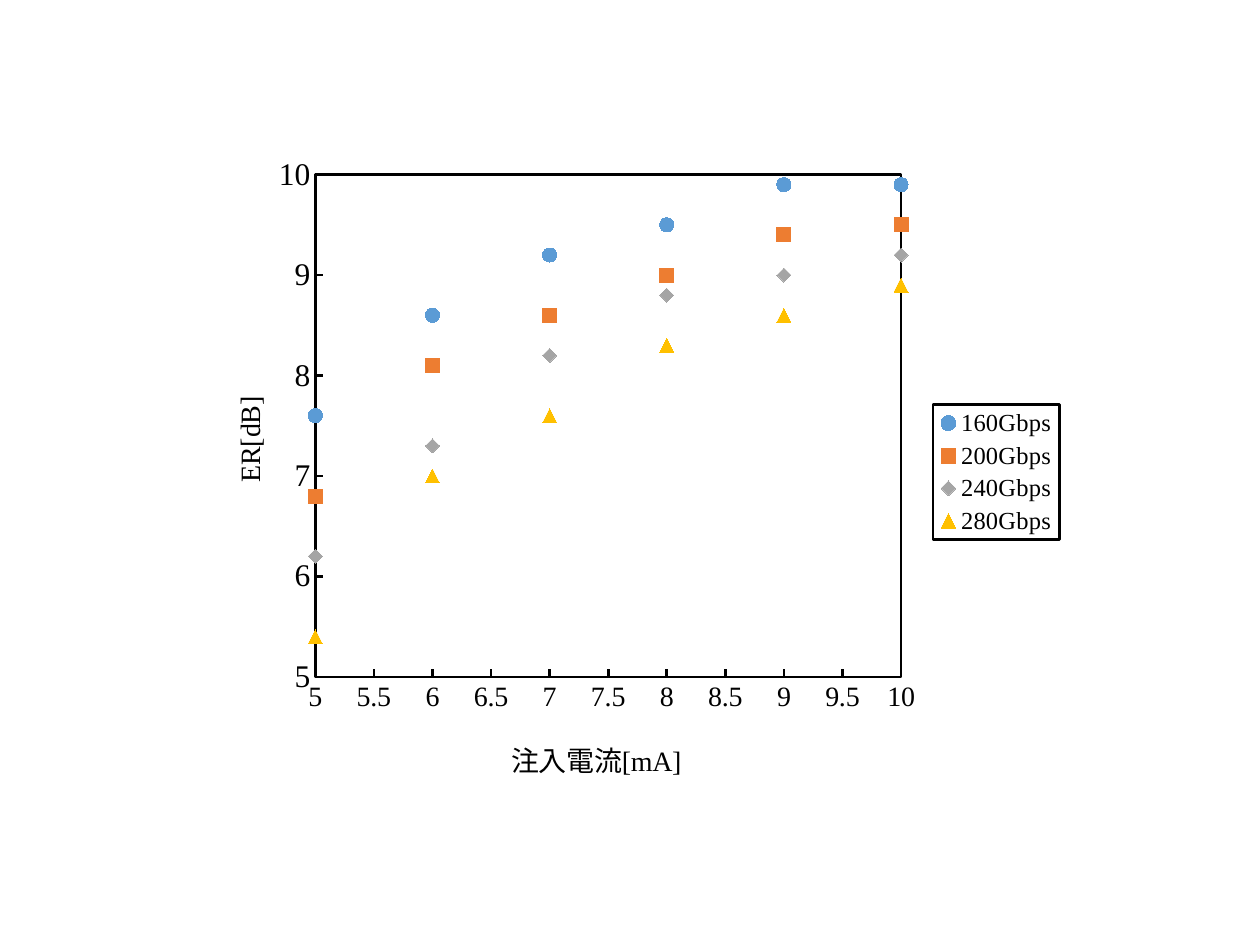
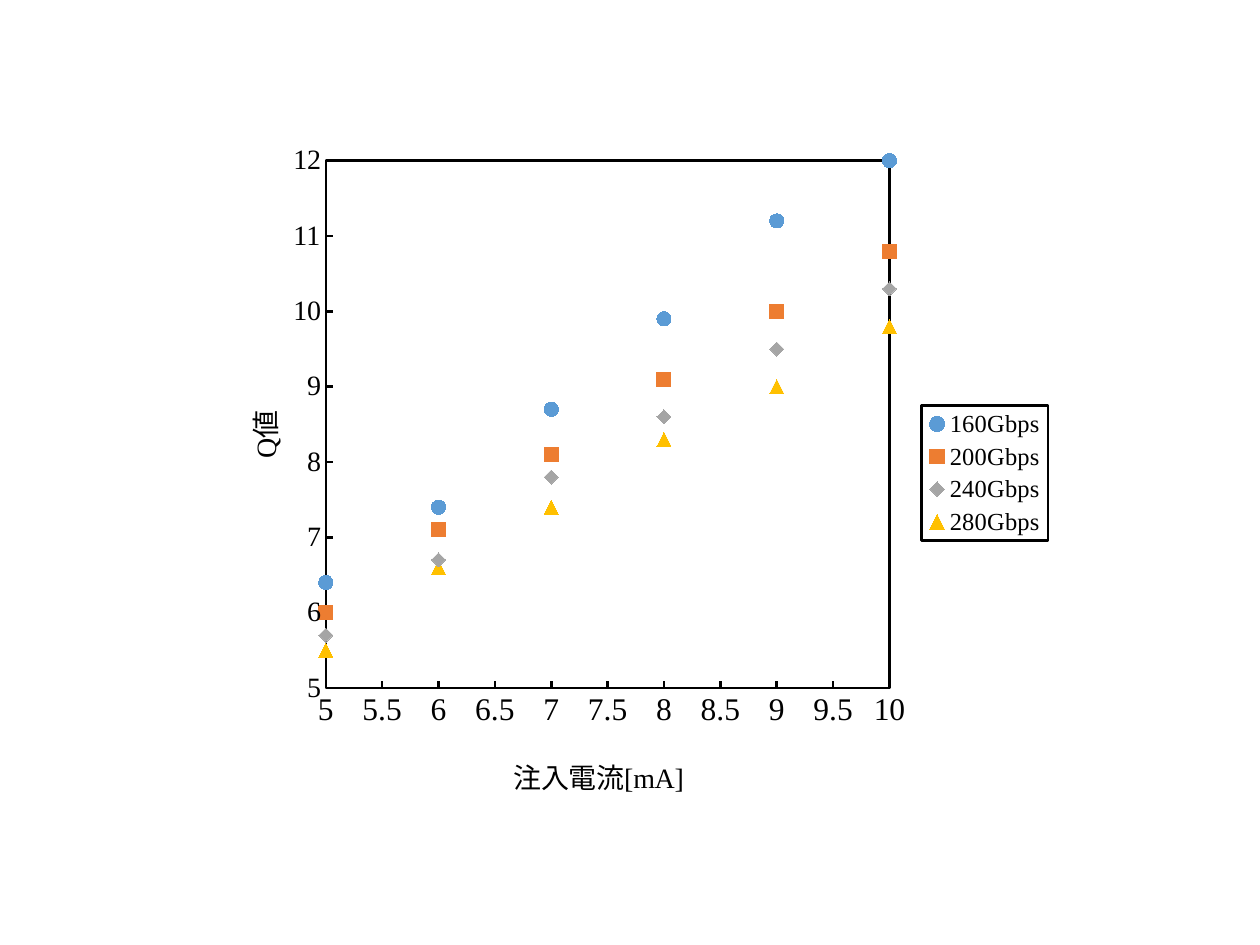
import pptx
import pptx.chart.data
import pptx.dml.color
import pptx.enum.chart
import pptx.oxml
import pptx.oxml.ns
import pptx.util

SLIDE_WIDTH, SLIDE_HEIGHT = pptx.util.Inches(10), pptx.util.Inches(7.5)
COLORS = {
    "ink": "000000",
    "160Gbps": "5B9BD5",
    "200Gbps": "ED7D31",
    "240Gbps": "A5A5A5",
    "280Gbps": "FFC000",
}
LATIN, JAPANESE = "Times New Roman", "Noto Sans CJK JP"
LINE_WIDTH = pptx.util.Pt(1.5)
TITLE_SIZE, LEGEND_SIZE, MARKER_SIZE = 16, 14, 8
CURRENTS = range(5, 11)
CURRENT_TITLE = [("注入電流", JAPANESE), ("[mA]", LATIN)]

MARKER = pptx.enum.chart.XL_MARKER_STYLE
MARKERS = {
    "160Gbps": MARKER.CIRCLE,
    "200Gbps": MARKER.SQUARE,
    "240Gbps": MARKER.DIAMOND,
    "280Gbps": MARKER.TRIANGLE,
}

EXTINCTION_RATIO = {
    "160Gbps": (7.6, 8.6, 9.2, 9.5, 9.9, 9.9),
    "200Gbps": (6.8, 8.1, 8.6, 9, 9.4, 9.5),
    "240Gbps": (6.2, 7.3, 8.2, 8.8, 9, 9.2),
    "280Gbps": (5.4, 7, 7.6, 8.3, 8.6, 8.9),
}
Q_FACTOR = {
    "160Gbps": (6.4, 7.4, 8.7, 9.9, 11.2, 12),
    "200Gbps": (6, 7.1, 8.1, 9.1, 10, 10.8),
    "240Gbps": (5.7, 6.7, 7.8, 8.6, 9.5, 10.3),
    "280Gbps": (5.5, 6.6, 7.4, 8.3, 9, 9.8),
}


def rgb(name):
    return pptx.dml.color.RGBColor.from_string(COLORS[name])


def format_font(font, size, name=LATIN, color="ink"):
    font.size = pptx.util.Pt(size)
    font.name = name
    font.bold = False
    font.color.rgb = rgb(color)


def add_text(paragraph, text, size=TITLE_SIZE, name=LATIN, color="ink"):
    run = paragraph.add_run()
    run.text = text
    format_font(run.font, size, name, color)
    east_asian = pptx.oxml.parse_xml(
        f'<a:ea {pptx.oxml.ns.nsdecls("a")} typeface="{JAPANESE}"/>')
    run.font.fill  # the fill and latin elements come before a:ea
    run._r.get_or_add_rPr().append(east_asian)


def outline():
    """Black frame without a fill, for the plot area and the legend."""
    return pptx.oxml.parse_xml(
        f'<c:spPr {pptx.oxml.ns.nsdecls("c", "a")}><a:noFill/>'
        f'<a:ln w="{LINE_WIDTH}"><a:solidFill><a:srgbClr val="{COLORS["ink"]}"/>'
        '</a:solidFill></a:ln></c:spPr>')


def place(part, after=None, target="", **shares):
    """Fix a chart part at shares (x, y, w, h) of the chart's size."""
    for old in part.xpath("c:layout"):
        part.remove(old)
    rules = f'<c:layoutTarget val="{target}"/>' if target else ""
    rules += "".join(f'<c:{side}Mode val="edge"/>' for side in "xy")
    rules += "".join(f'<c:{side} val="{share}"/>' for side, share in shares.items())
    layout = pptx.oxml.parse_xml(
        f'<c:layout {pptx.oxml.ns.nsdecls("c")}>'
        f'<c:manualLayout>{rules}</c:manualLayout></c:layout>')
    if after is None:
        part.insert(0, layout)
    else:
        after.addnext(layout)


def style_axis(axis, title, title_at, label_size, top, step, upright=False):
    axis.minimum_scale, axis.maximum_scale = 5, top
    axis.major_unit = step
    axis.has_major_gridlines = False
    axis.major_tick_mark = pptx.enum.chart.XL_TICK_MARK.INSIDE
    axis.minor_tick_mark = pptx.enum.chart.XL_TICK_MARK.NONE
    axis.format.line.color.rgb = rgb("ink")
    axis.format.line.width = LINE_WIDTH
    axis.tick_labels.number_format = "General"
    axis.tick_labels.number_format_is_linked = False
    format_font(axis.tick_labels.font, label_size)

    paragraph = axis.axis_title.text_frame.paragraphs[0]
    for text, font_name in title:
        add_text(paragraph, text, name=font_name)
    heading = axis.axis_title._element
    body = heading.xpath("c:tx/c:rich/a:bodyPr")[0]
    body.set("rot", "-5400000" if upright else "0")
    body.set("vert", "horz")
    place(heading, after=heading.xpath("c:tx")[0], x=title_at[0], y=title_at[1])


def style_series(series):
    series.format.line.fill.background()
    series.marker.style = MARKERS[series.name]
    series.marker.size = MARKER_SIZE
    series.marker.format.fill.solid()
    series.marker.format.fill.fore_color.rgb = rgb(series.name)
    series.marker.format.line.color.rgb = rgb(series.name)
    series.smooth = False


def style_legend(chart):
    chart.has_legend = True
    chart.legend.position = pptx.enum.chart.XL_LEGEND_POSITION.RIGHT
    chart.legend.include_in_layout = False
    format_font(chart.legend.font, LEGEND_SIZE)
    chart.legend._element.xpath("c:txPr")[0].addprevious(outline())


def add_scatter(slide, measurements, at, plot, current_axis, value_axis):
    """Scatter chart at shares (left, top, width, height) of the slide."""
    data = pptx.chart.data.XyChartData()
    for rate, values in measurements.items():
        points = data.add_series(rate)
        for current, value in zip(CURRENTS, values):
            points.add_data_point(current, value)
    left, top, width, height = at
    chart = slide.shapes.add_chart(
        pptx.enum.chart.XL_CHART_TYPE.XY_SCATTER,
        int(left * SLIDE_WIDTH), int(top * SLIDE_HEIGHT),
        int(width * SLIDE_WIDTH), int(height * SLIDE_HEIGHT), data).chart
    chart.has_title = False
    format_font(chart.font, 10, "Calibri")
    chart.plots[0].vary_by_categories = False
    for series in chart.plots[0].series:
        style_series(series)
    style_axis(chart.category_axis, CURRENT_TITLE, top=10, step=0.5, **current_axis)
    style_axis(chart.value_axis, step=1, upright=True, **value_axis)
    style_legend(chart)

    plot_area = chart.element.xpath("c:chart/c:plotArea")[0]
    place(plot_area, target="inner", **dict(zip("xywh", plot)))
    plot_area.append(outline())


def main():
    deck = pptx.Presentation()
    deck.slide_width, deck.slide_height = SLIDE_WIDTH, SLIDE_HEIGHT
    blank = deck.slide_layouts[6]

    # Extinction ratio against injection current
    add_scatter(
        deck.slides.add_slide(blank), EXTINCTION_RATIO,
        at=(0.152, 0.153, 0.697, 0.693), plot=(0.141, 0.046, 0.667, 0.767),
        current_axis=dict(title_at=(0.36, 0.9), label_size=16),
        value_axis=dict(title=[("ER[dB]", LATIN)], title_at=(0.04, 0.377),
                        label_size=18, top=10))

    # Q factor against injection current
    add_scatter(
        deck.slides.add_slide(blank), Q_FACTOR,
        at=(0.16, 0.139, 0.68, 0.723), plot=(0.145, 0.043, 0.658, 0.772),
        current_axis=dict(title_at=(0.36, 0.906), label_size=18),
        value_axis=dict(title=[("Q", LATIN), ("値", JAPANESE)],
                        title_at=(0.043, 0.404), label_size=16, top=12))

    deck.save("out.pptx")


if __name__ == "__main__":
    main()
